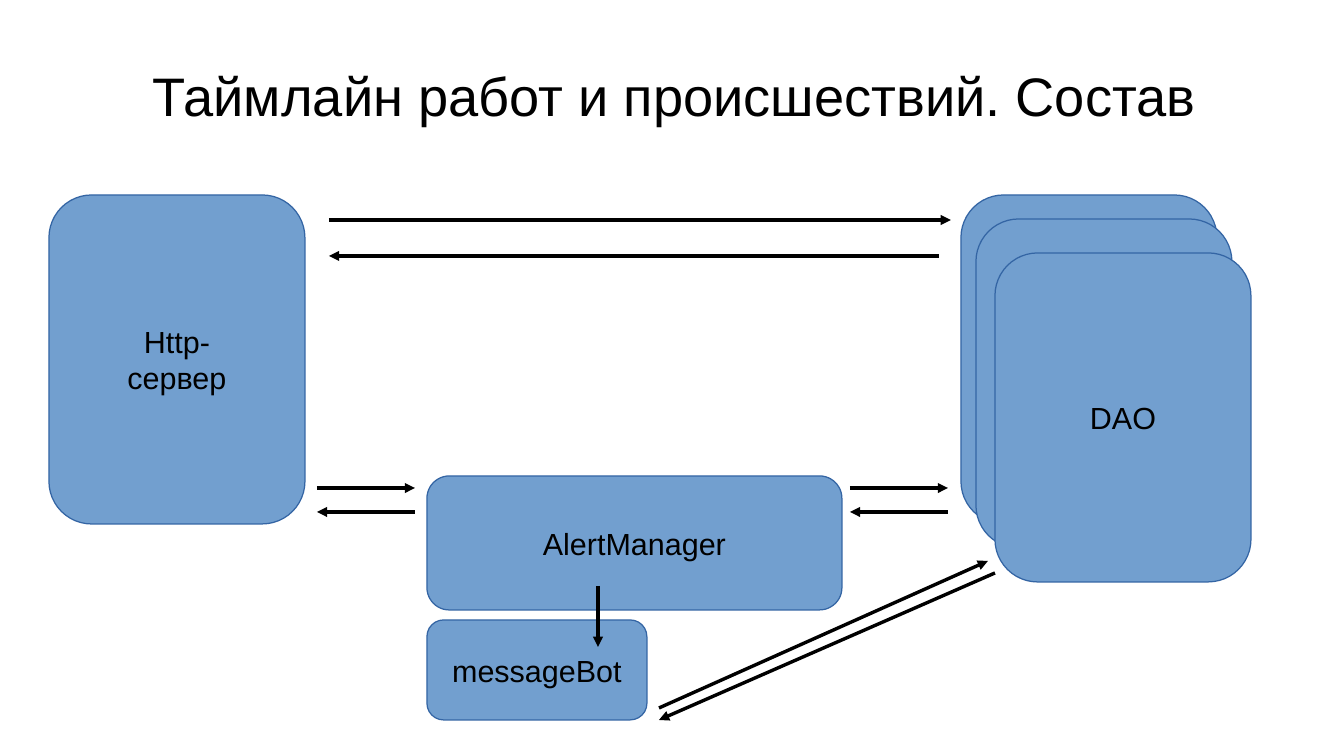
import pptx
import pptx.util
import pptx.dml.color
import pptx.enum.shapes
import pptx.enum.text
import pptx.oxml.ns
import lxml.etree

COLORS = {"fill": "729FCF", "border": "3465A4", "ink": "000000"}
FONT = "Arial"
PX = 914400 / 122


def px(n):
    return pptx.util.Emu(round(n * PX))


def color(name):
    return pptx.dml.color.RGBColor.from_string(COLORS[name])


class Diagram:
    """Holds the style and the current slide."""

    def __init__(self, slide):
        self.s = slide

    def label(self, sp, text, size):
        tf = sp.text_frame
        tf.text = text
        tf.vertical_anchor = pptx.enum.text.MSO_ANCHOR.MIDDLE
        for p in tf.paragraphs:
            p.alignment = pptx.enum.text.PP_ALIGN.CENTER
            for r in p.runs:
                r.font.name = FONT
                r.font.size = pptx.util.Pt(size)
                r.font.color.rgb = color("ink")
        return tf

    def title(self, text, x, y, w, h):
        sp = self.s.shapes.title
        sp.left, sp.top, sp.width, sp.height = px(x), px(y), px(w), px(h)
        tf = self.label(sp, text, 32)
        tf.auto_size = pptx.enum.text.MSO_AUTO_SIZE.NONE
        tf.margin_left = tf.margin_right = tf.margin_top = tf.margin_bottom = 0

    def box(self, text, x, y, w, h):
        sp = self.s.shapes.add_shape(
            pptx.enum.shapes.MSO_SHAPE.ROUNDED_RECTANGLE, px(x), px(y), px(w), px(h))
        sp.shadow.inherit = False
        sp.fill.solid()
        sp.fill.fore_color.rgb = color("fill")
        sp.line.color.rgb = color("border")
        sp.line.width = 0
        if text:
            self.label(sp, text, 18).word_wrap = False

    def arrow(self, x1, y1, x2, y2):
        c = self.s.shapes.add_connector(
            pptx.enum.shapes.MSO_CONNECTOR.STRAIGHT, px(x1), px(y1), px(x2), px(y2))
        c.line.color.rgb = color("ink")
        c.line.width = 0  # hairline
        qn = pptx.oxml.ns.qn
        sp_pr = c.element.spPr
        lxml.etree.SubElement(sp_pr.find(qn("a:ln")), qn("a:tailEnd"), type="triangle")
        lxml.etree.SubElement(sp_pr, qn("a:effectLst"))


def main():
    prs = pptx.Presentation()
    prs.slide_width, prs.slide_height = px(1344), px(756)
    d = Diagram(prs.slides.add_slide(prs.slide_layouts[5]))
    d.title("Таймлайн работ и происшествий. Состав", 12, 31, 1326, 127)

    # Server and the stack of DAO cards
    tall = (256, 329)
    d.box("Http-\nсервер", 49, 195, *tall)
    for text, x, y in (("", 961, 195), ("", 976, 219), ("DAO", 995, 253)):
        d.box(text, x, y, *tall)

    # Alerting
    d.box("AlertManager", 427, 476, 415, 134)
    d.box("messageBot", 427, 620, 220, 100)

    # Server <-> DAO
    d.arrow(329, 220, 951, 220)
    d.arrow(939, 256, 329, 256)

    # AlertManager <-> its two neighbours
    for x in (317, 850):
        d.arrow(x, 488, x + 98, 488)
        d.arrow(x + 98, 512, x, 512)

    # Bot links
    d.arrow(598, 586, 598, 647)
    d.arrow(659, 708, 988, 561)
    d.arrow(995, 573, 659, 720)

    prs.save("out.pptx")


if __name__ == "__main__":
    main()
